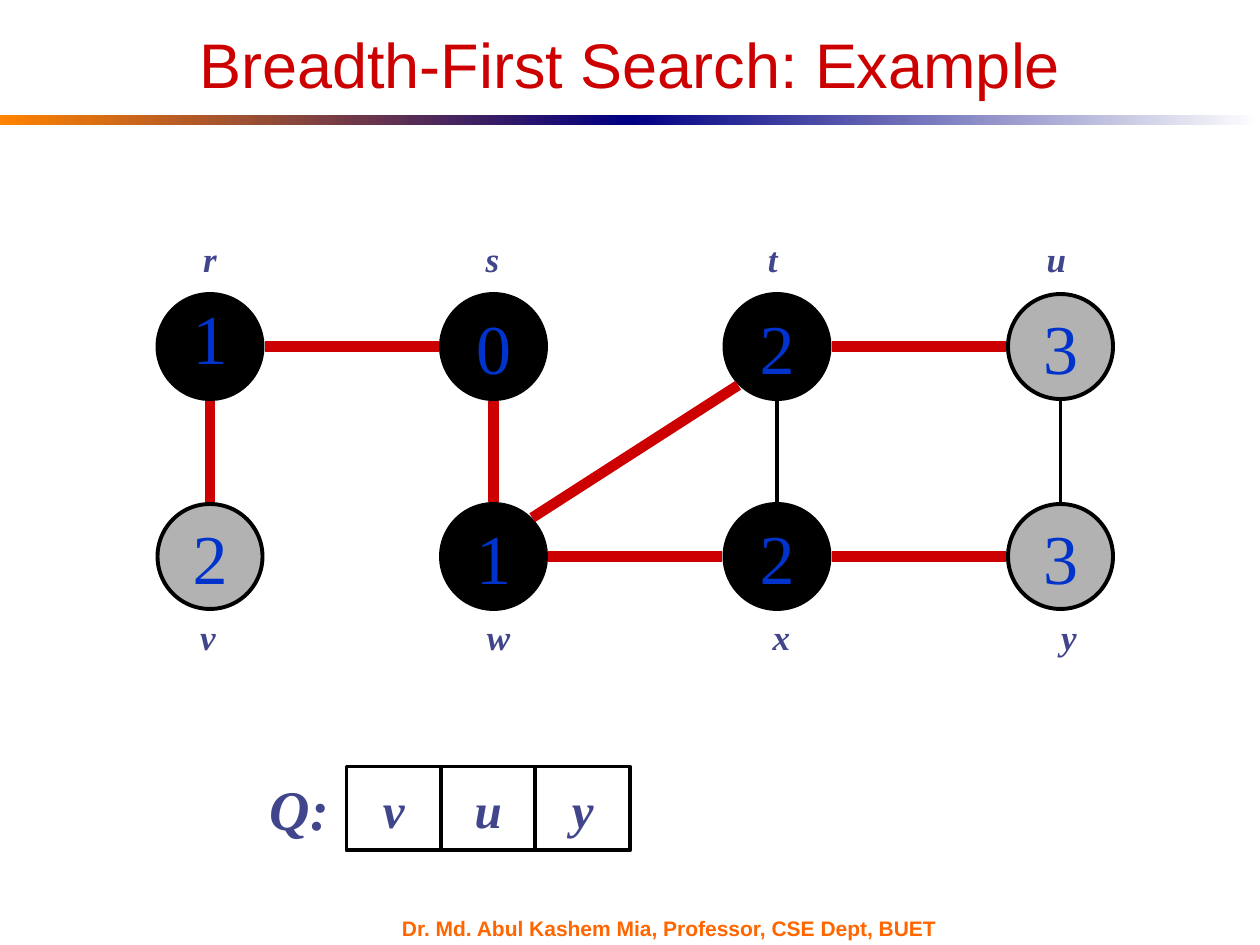
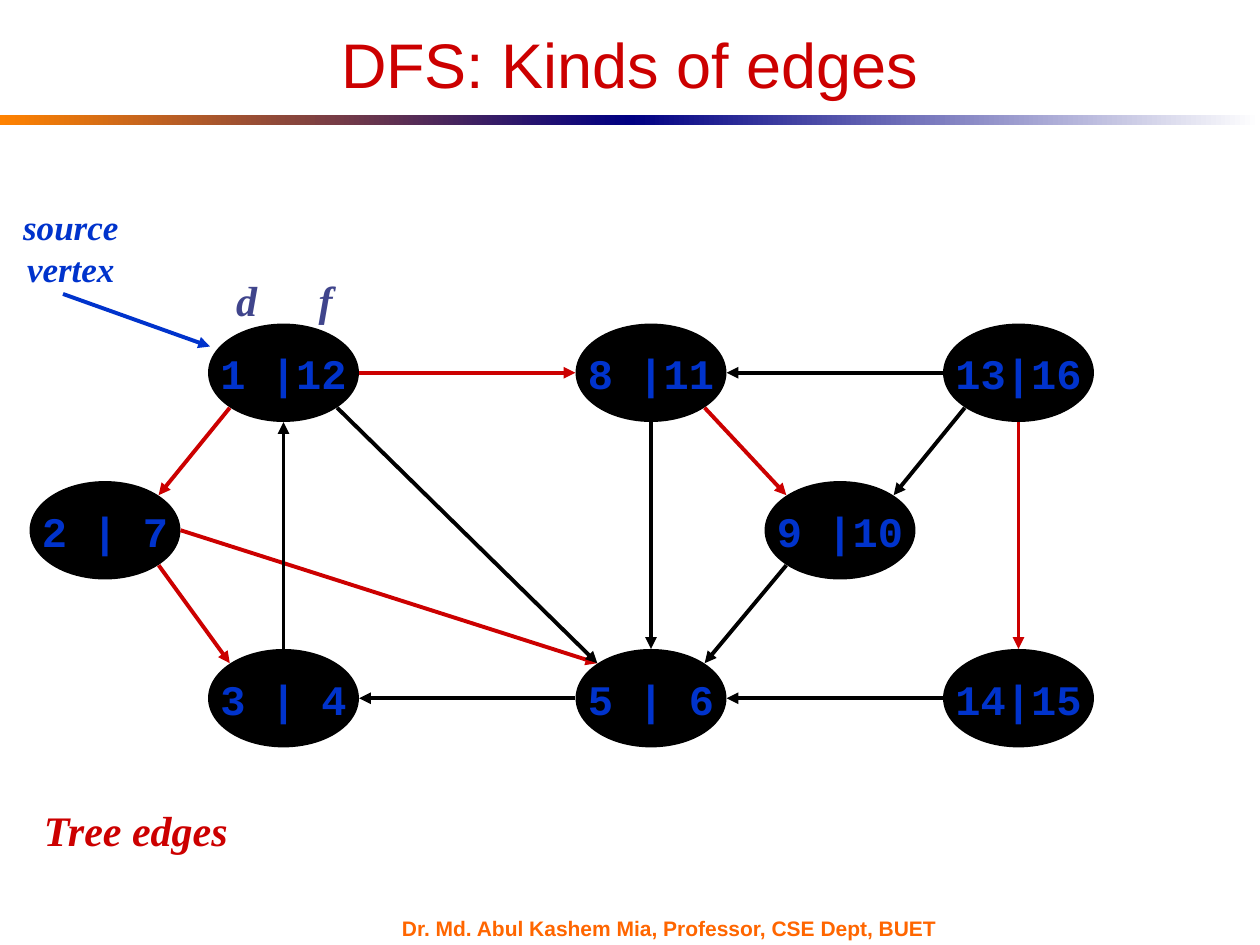
from lxml import etree
from pptx import Presentation, util as u
from pptx.dml import color
from pptx.enum import shapes, text
from pptx.oxml import ns

CELL = u.Inches(1) / 12
SIDES = {"n": (0, -1), "s": (0, 1), "w": (-1, 0), "e": (1, 0),
         "nw": (-0.71, -0.71), "ne": (0.71, -0.71),
         "sw": (-0.71, 0.71), "se": (0.71, 0.71)}
SERIF, SANS, MONO = "Times New Roman", "Arial", "Courier New"
RED, BLUE, SLATE, BLACK, GREY = "CC0000", "0033CC", "40458C", "000000", "B2B2B2"
ORANGE, NAVY, AMBER, WHITE = "FF6600", "000082", "FF8200", "FFFFFF"
FOOTER = "Dr. Md. Abul Kashem Mia, Professor, CSE Dept, BUET"


def rgb(value):
    return color.RGBColor.from_string(value)


def cells(*values):
    return [u.Emu(round(v * CELL)) for v in values]


class Deck:
    def __init__(self):
        self.prs = Presentation()
        self.prs.slide_width, self.prs.slide_height = cells(120, 90)
        self.s = None

    def slide(self, title):
        self.s = self.prs.slides.add_slide(self.prs.slide_layouts[6])
        self.band(0, AMBER, NAVY)
        self.band(60, NAVY, WHITE)
        self.text((37.1, 87.3, 56, 2.2), FOOTER, 12, ORANGE, font=SANS,
                  italic=False, align="LEFT", wrap=True)
        self.text((6, 3, 108, 6.1), title, 36, RED, font=SANS,
                  bold=False, italic=False, wrap=True)

    def band(self, x, start, end):
        sp = self.shape("RECTANGLE", (x, 10.95, 60, 1))
        sp.line.fill.background()
        sp.fill.gradient()
        sp.fill.gradient_angle = 0
        for stop, value in zip(sp.fill.gradient_stops, (start, end)):
            stop.color.rgb = rgb(value)

    def shape(self, kind, box, fill=None):
        sp = self.s.shapes.add_shape(shapes.MSO_SHAPE[kind], *cells(*box))
        sp.shadow.inherit = False
        sp.line.color.rgb = rgb(BLACK)
        sp.line.width = u.Pt(2.25)
        if fill:
            sp.fill.solid()
            sp.fill.fore_color.rgb = rgb(fill)
        else:
            sp.fill.background()
        return sp

    def set_words(self, sp, words, size, colour, font=SERIF, bold=True,
                  italic=True, align="CENTER", wrap=False, spacing=None):
        tf = sp.text_frame
        tf.text = words
        tf.word_wrap = wrap
        tf.vertical_anchor = text.MSO_ANCHOR.MIDDLE
        p = tf.paragraphs[0]
        p.alignment = text.PP_ALIGN[align]
        if spacing:
            p.line_spacing = spacing
        for r in p.runs:
            r.font.name, r.font.size = font, u.Pt(size)
            r.font.bold, r.font.italic = bold, italic
            r.font.color.rgb = rgb(colour)

    def text(self, box, words, size, colour, **style):
        self.set_words(self.s.shapes.add_textbox(*cells(*box)), words, size, colour, **style)

    def label(self, x, y, words, size):
        self.text((x - 2, y - 2.65, 4, 5.3), words, size, SLATE)

    def node(self, box, words, size, fill=BLACK, **style):
        sp = self.shape("OVAL", box, fill)
        self.set_words(sp, words, size, BLUE, italic=False, **style)
        return sp

    def queue_cell(self, box, words):
        self.set_words(self.shape("RECTANGLE", box), words, 28, SLATE)

    def line(self, start, end, colour, width=2.25, arrow=False):
        c = self.s.shapes.add_connector(shapes.MSO_CONNECTOR.STRAIGHT, *start, *end)
        c.line.color.rgb = rgb(colour)
        c.line.width = u.Pt(width)
        if arrow:
            ln = c._element.spPr.find(ns.qn("a:ln"))
            etree.SubElement(ln, ns.qn("a:tailEnd"), type="triangle")
        etree.SubElement(c._element.spPr, ns.qn("a:effectLst"))

    def rim(self, sp, side):
        dx, dy = SIDES[side]
        reach = 0.2 * CELL
        return (u.Emu(round(sp.left + sp.width / 2 + dx * (sp.width / 2 + reach))),
                u.Emu(round(sp.top + sp.height / 2 + dy * (sp.height / 2 + reach))))

    def edge(self, a, side_a, b, side_b, colour, **style):
        self.line(self.rim(a, side_a), self.rim(b, side_b), colour, **style)


def breadth_first(deck):
    deck.slide("Breadth-First Search: Example")
    rows = [
        (28, 24.65, [("r", "1", BLACK, 20), ("s", "0", BLACK, 46.9),
                     ("t", "2", BLACK, 73.6), ("u", "3", GREY, 100.5)]),
        (48, 60.65, [("v", "2", GREY, 19.8), ("w", "1", BLACK, 47.2),
                     ("x", "2", BLACK, 74.4), ("y", "3", GREY, 101.8)]),
    ]
    nodes = {}
    for top, label_y, row in rows:
        for i, (name, distance, fill, label_x) in enumerate(row):
            nodes[name] = deck.node((15 + 27 * i, top, 10, 10), distance, 40, fill,
                                    bold=False, spacing=0.7 if name == "r" else None)
            deck.label(label_x, label_y, name, 20)
    tree = ["v n r s", "r e s w", "s s w n", "w ne t sw", "w e x w", "t e u w", "x e y w"]
    other = ["x n t s", "y n u s"]
    for edges, colour, width in ((tree, RED, 6), (other, BLACK, 2.25)):
        for a, side_a, b, side_b in map(str.split, edges):
            deck.edge(nodes[a], side_a, nodes[b], side_b, colour, width=width)
    deck.text((24, 73, 9, 8), "Q:", 32, SLATE)
    for i, name in enumerate("vuy"):
        deck.queue_cell((33 + 9 * i, 73, 9, 8), name)


def depth_first(deck):
    deck.slide("DFS: Kinds of edges")
    places = {"1 |12": (20, 31), "8 |11": (55, 31), "13|16": (90, 31),
              "14|15": (90, 62), "5 | 6": (55, 62), "3 | 4": (20, 62),
              "2 | 7": (3, 46), "9 |10": (73, 46)}
    nodes = {times.split("|")[0].strip(): deck.node((*place, 14, 9), times, 24, font=MONO)
             for times, place in places.items()}
    tree = ["1 sw 2 ne", "2 se 3 nw", "2 e 5 nw", "1 e 8 w", "8 se 9 nw", "13 s 14 n"]
    other = ["5 w 3 e", "3 n 1 s", "1 se 5 nw", "8 s 5 n", "13 w 8 e",
             "13 sw 9 ne", "14 w 5 e", "9 sw 5 ne"]
    for edges, colour in ((tree, RED), (other, BLACK)):
        for a, side_a, b, side_b in map(str.split, edges):
            deck.edge(nodes[a], side_a, nodes[b], side_b, colour, arrow=True)
    deck.line(cells(6, 28), cells(20, 33), BLUE, arrow=True)
    deck.text((1, 19, 11.5, 9.2), "source\vvertex", 20, BLUE)
    deck.label(23.3, 28.5, "d", 24)
    deck.label(31, 28.5, "f", 24)
    deck.text((3, 76, 20, 6), "Tree edges", 24, RED, align="LEFT")


def main():
    deck = Deck()
    breadth_first(deck)
    depth_first(deck)
    deck.prs.save("out.pptx")


if __name__ == "__main__":
    main()
